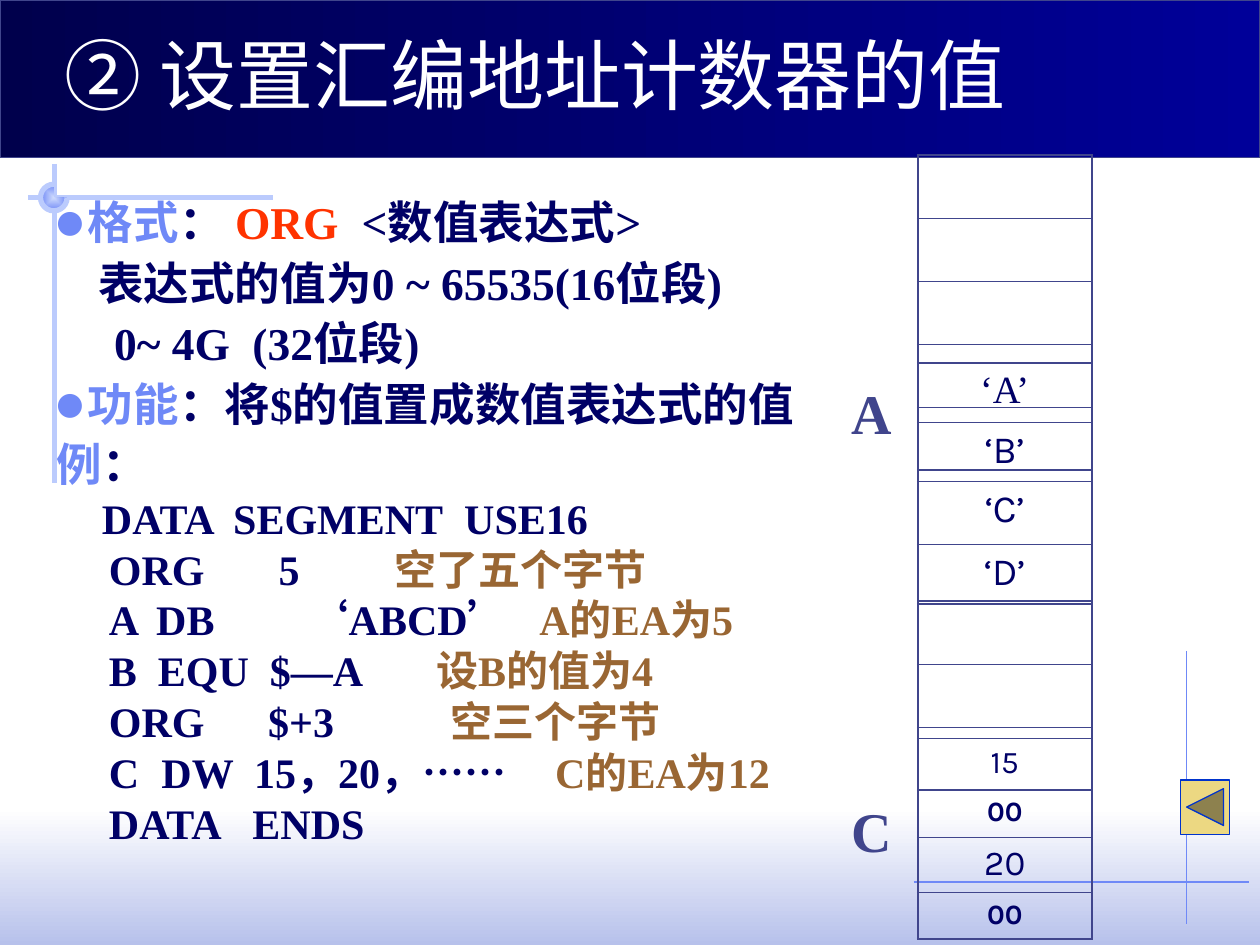
from dataclasses import dataclass
from itertools import cycle
from lxml.etree import SubElement
from pptx import Presentation
from pptx.dml.color import RGBColor
from pptx.enum.dml import MSO_FILL
from pptx.enum.shapes import MSO_CONNECTOR, MSO_SHAPE
from pptx.enum.text import MSO_ANCHOR, PP_ALIGN
from pptx.oxml.ns import qn
from pptx.util import Pt


@dataclass(frozen=True)
class Theme:
    white: str = "FFFFFF"
    navy: str = "000066"
    banner_light: str = "000099"
    banner_dark: str = "00004C"
    blue: str = "6F89F7"
    pale_blue: str = "BBCBFD"
    ice: str = "CFDBFD"
    haze: str = "B7C1EB"
    slate: str = "40458C"
    red: str = "FF3300"
    brown: str = "996633"
    gold: str = "ECD882"
    button_line: str = "0033CC"
    serif: str = "Times New Roman"
    sans: str = "Karla"
    title: int = 44
    label: int = 32
    point: int = 26
    code: int = 24
    letter: int = 22


theme = Theme()

# Content: (bulleted, tab stops, runs)
TITLE = "② 设置汇编地址计数器的值"
POINTS = [
    (True, [], [("格式", theme.blue), ("：", theme.navy), (" ORG", theme.red),
                ("  <数值表达式>", theme.navy)]),
    (False, [24], [("\t表达式的值为0 ~ 65535(16位段)", theme.navy)]),
    (False, [33, 112], [("\t0~ 4G\t(32位段)", theme.navy)]),
    (True, [], [("功能", theme.blue), ("：将$的值置成数值表达式的值", theme.navy)]),
    (False, [], [("例", theme.blue), ("：", theme.navy)]),
]
CODE = [
    ([26, 101, 233], "DATA\tSEGMENT\tUSE16", ""),
    ([30, 127, 193], "ORG\t5", "空了五个字节"),
    ([30, 57, 143, 276], "A\tDB\t‘ABCD’", "A的EA为5"),
    ([30, 58, 122, 217], "B\tEQU\t$—A", "设B的值为4"),
    ([30, 121, 225], "ORG\t$+3", "空三个字节"),
    ([30, 60, 113, 285], "C\tDW\t15，20，……", "C的EA为12"),
    ([30, 112], "DATA\tENDS", ""),
]
LABELS = [("A", 213), ("C", 451.5)]

# Memory column: top, then rows of (height, text, size, font, bold)
EMPTY = (36, "", 18, theme.sans, False)
MEMORY = [
    (88.5, [EMPTY] * 5),
    (207.5, [(33.8, "‘A’", theme.letter, theme.serif, False),
             (33.8, "‘B’", theme.letter, theme.sans, False),
             (36, "‘C’", theme.letter, theme.sans, False),
             (34, "‘D’", theme.letter, theme.sans, False)]),
    (343.5, [EMPTY] * 3),
    (422, [(29.5, "15", 18, theme.sans, False),
           (27, "00", 16, theme.sans, True),
           (31.5, "20", 20, theme.sans, False),
           (26.6, "00", 16, theme.sans, True)]),
]
MEMORY_LEFT, MEMORY_WIDTH = 524.4, 99.5
PLAIN_TABLE = "{2D5ABB26-0587-4C30-8999-92F81FD0307C}"

presentation = Presentation()
presentation.slide_width, presentation.slide_height = Pt(720), Pt(540)
slide = presentation.slides.add_slide(presentation.slide_layouts[6])


def color(value):
    return RGBColor.from_string(value)


def add_box(kind, box, fill, line=None, width=0.74, angle=0):
    shape = slide.shapes.add_shape(kind, *map(Pt, box))
    shape.shadow.inherit = False
    if len(fill) == 2:
        shape.fill.gradient()
        shape.fill.gradient_angle = angle
        for stop, position, value in zip(shape.fill.gradient_stops, (0, 1), fill):
            stop.position, stop.color.rgb = position, color(value)
    else:
        shape.fill.solid()
        shape.fill.fore_color.rgb = color(fill[0])
    if line:
        shape.line.color.rgb, shape.line.width = color(line), Pt(width)
    else:
        shape.line.fill.background()
    return shape


def add_line(points, value, width):
    line = slide.shapes.add_connector(MSO_CONNECTOR.STRAIGHT, *map(Pt, points))
    line.line.color.rgb, line.line.width = color(value), Pt(width)
    SubElement(line._element.spPr, qn("a:effectLst"))


def add_text(box, anchor=MSO_ANCHOR.TOP):
    frame = slide.shapes.add_textbox(*map(Pt, box)).text_frame
    frame.word_wrap, frame.vertical_anchor = True, anchor
    return frame


def add_run(paragraph, text, size, font, value, bold=False):
    run = paragraph.add_run()
    run.text = text
    run.font.size, run.font.name, run.font.bold = Pt(size), font, bold
    run.font.color.rgb = color(value)


def format_paragraph(paragraph, stops, bulleted=False):
    properties = paragraph._p.get_or_add_pPr()
    if bulleted:
        properties.set("marL", str(Pt(18)))
        properties.set("indent", str(-Pt(18)))
        bullet_color = SubElement(properties, qn("a:buClr"))
        SubElement(bullet_color, qn("a:srgbClr"), val=theme.blue)
        SubElement(properties, qn("a:buSzPct"), val="69000")
        SubElement(properties, qn("a:buFont"), typeface=theme.sans)
        SubElement(properties, qn("a:buChar"), char="●")
    if stops:
        tabs = SubElement(properties, qn("a:tabLst"))
        for stop in stops:
            SubElement(tabs, qn("a:tab"), pos=str(Pt(stop)), algn="l")


def set_borders(cell, widths):
    properties = cell._tc.get_or_add_tcPr()
    for index, (side, width) in enumerate(zip("LRTB", widths)):
        line = properties.makeelement(qn(f"a:ln{side}"), {"w": str(Pt(width))})
        fill = SubElement(line, qn("a:solidFill"))
        SubElement(fill, qn("a:srgbClr"), val=theme.slate)
        properties.insert(index, line)


# Backdrop
add_box(MSO_SHAPE.RECTANGLE, (0, 462, 720, 78), (theme.white, theme.haze), angle=270)
add_line((678.2, 372, 678.2, 528), theme.blue, 0.74)
add_line((156, 113, 16, 113), theme.pale_blue, 3)
add_line((31, 93.6, 31, 276), theme.pale_blue, 3)
knob = add_box(MSO_SHAPE.ARC, (23.2, 105.3, 15.2, 15.2), (theme.ice, theme.blue),
               theme.pale_blue, 3)
knob.adjustments[0], knob.adjustments[1] = 0, 162
gradient = knob._element.spPr.find(qn("a:gradFill"))
gradient.remove(gradient.find(qn("a:lin")))
center = SubElement(gradient, qn("a:path"))
center.set("path", "rect")
SubElement(center, qn("a:fillToRect"), dict.fromkeys("ltrb", "50000"))
add_box(MSO_SHAPE.RECTANGLE, (0, 0, 720, 90), (theme.banner_light, theme.banner_dark),
        theme.slate, angle=180)
add_line((522, 504, 714, 504), theme.blue, 0.74)

# Title
title = add_text((30, 6, 612, 66), MSO_ANCHOR.BOTTOM)
add_run(title.paragraphs[0], TITLE, theme.title, theme.sans, theme.white)

# Explanation and code
lines = [(theme.point, 0.9, 6.5, *point) for point in POINTS]
for stops, code, note in CODE:
    runs = [("\t" + code, theme.navy)] + ([("\t" + note, theme.brown)] if note else [])
    lines.append((theme.code, 0.8, 6, False, stops, runs))
body = add_text((25.2, 111, 621.4, 396.7))
for index, (size, spacing, before, bulleted, stops, runs) in enumerate(lines):
    paragraph = body.add_paragraph() if index else body.paragraphs[0]
    paragraph.line_spacing, paragraph.space_before = spacing, Pt(before)
    format_paragraph(paragraph, stops, bulleted)
    for text, value in runs:
        add_run(paragraph, text, size, theme.serif, value, True)

# Address labels
for text, top in LABELS:
    label = add_text((479.5, top, 42.5, 46))
    add_run(label.paragraphs[0], text, theme.label, theme.serif, theme.slate, True)

# Memory column
for top, rows in MEMORY:
    height = sum(row[0] for row in rows)
    box = map(Pt, (MEMORY_LEFT, top, MEMORY_WIDTH, height))
    table = slide.shapes.add_table(len(rows), 1, *box).table
    table.first_row = table.horz_banding = False
    table._tbl.tblPr.find(qn("a:tableStyleId")).text = PLAIN_TABLE
    for index, (row_height, text, size, font, bold) in enumerate(rows):
        table.rows[index].height = Pt(row_height)
        cell = table.cell(index, 0)
        cell.fill.background()
        set_borders(cell, (1.08, 1.08, 0.45 if index else 1.08,
                           1.08 if index == len(rows) - 1 else 0.45))
        paragraph = cell.text_frame.paragraphs[0]
        paragraph.alignment = PP_ALIGN.CENTER
        if text:
            paragraph.space_before = Pt(size / 4)
            add_run(paragraph, text, size, font, theme.navy, bold)
        else:
            paragraph.font.size = Pt(size)

# Back button
add_box(MSO_SHAPE.ACTION_BUTTON_BACK_OR_PREVIOUS, (674.6, 445.7, 28.1, 31),
        (theme.gold,), theme.button_line)

presentation.save("out.pptx")
